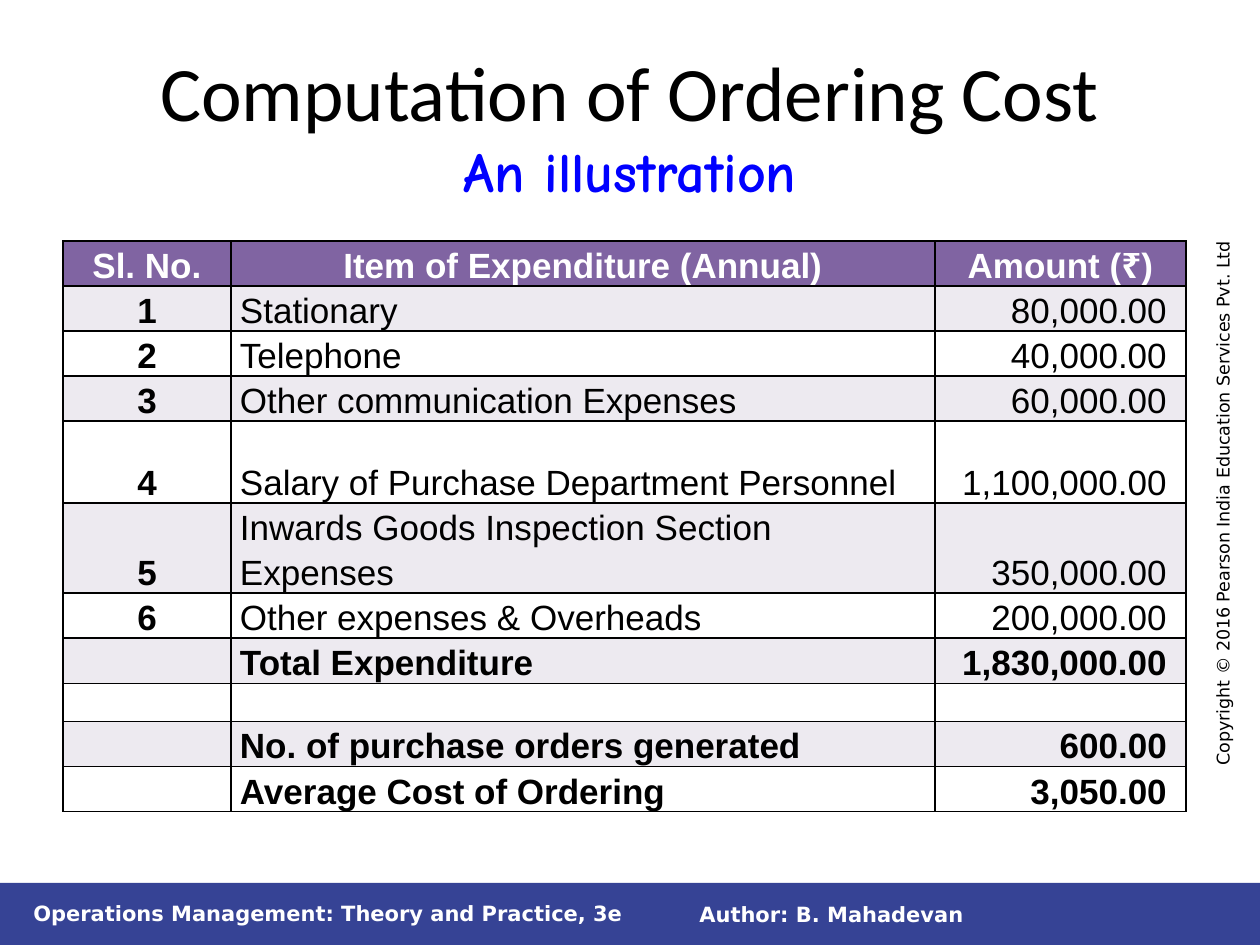
from lxml.etree import SubElement
from pptx import Presentation
from pptx.dml.color import RGBColor
from pptx.enum.shapes import MSO_SHAPE as Shape
from pptx.enum.text import MSO_ANCHOR as Anchor, PP_ALIGN as Align
from pptx.oxml.ns import qn
from pptx.util import Pt

EMU_PER_PX = 914400 / 126


def px(*lengths):
    return [round(length * EMU_PER_PX) for length in lengths]


def add_span(para, text, size, font, color, bold=False):
    span = para.add_run()
    span.text = text
    span.font.size = Pt(size)
    span.font.name = font
    span.font.bold = bold
    span.font.color.rgb = RGBColor.from_string(color)


deck = Presentation()
deck.slide_width, deck.slide_height = px(1260, 945)
page = deck.slides.add_slide(deck.slide_layouts[6])

# Footer band
band = page.shapes.add_shape(Shape.RECTANGLE, *px(0, 883, 1260, 62))
band.shadow.inherit = False
band.fill.solid()
band.fill.fore_color.rgb = RGBColor.from_string("364395")
band.line.fill.background()

# Footer and copyright lines: text, place, rotation, anchor, size, colour, bold
small_texts = [
    ("Author: B. Mahadevan", (687, 895, 573, 38), 0, Anchor.MIDDLE, 12, "FFFFFF", True),
    ("Operations Management: Theory and Practice, 3e", (21, 894, 630, 38), 0,
     Anchor.MIDDLE, 12, "FFFFFF", True),
    ("Copyright © 2016 Pearson India Education Services Pvt. Ltd", (939, 477, 568, 34), 270,
     Anchor.TOP, 10, "000000", False),
]
for text, place, rotation, anchor, size, color, bold in small_texts:
    box = page.shapes.add_textbox(*px(*place))
    box.rotation = rotation
    box.text_frame.word_wrap = True
    box.text_frame.vertical_anchor = anchor
    add_span(box.text_frame.paragraphs[0], text, size, "DejaVu Sans", color, bold)

# Title
title = page.shapes.add_textbox(*px(63, 45, 1134, 158))
title.text_frame.word_wrap = True
title.text_frame.vertical_anchor = Anchor.MIDDLE
para = title.text_frame.paragraphs[0]
para.alignment = Align.CENTER
add_span(para, "Computation of Ordering Cost", 44, "Calibri", "000000")
para.add_line_break()
add_span(para, "An illustration", 32, "Comic Neue", "0000FF", True)

# Cost table
rows = [
    ("Sl. No.", "Item of Expenditure (Annual)", "Amount (₹)"),
    ("1", "Stationary", "80,000.00"),
    ("2", "Telephone", "40,000.00"),
    ("3", "Other communication Expenses", "60,000.00"),
    ("4", "Salary of Purchase Department Personnel", "1,100,000.00"),
    ("5", "Inwards Goods Inspection Section Expenses", "350,000.00"),
    ("6", "Other expenses & Overheads", "200,000.00"),
    ("", "Total Expenditure", "1,830,000.00"),
    ("", "", ""),
    ("", "No. of purchase orders generated", "600.00"),
    ("", "Average Cost of Ordering", "3,050.00"),
]
widths = px(168, 704, 251)
heights = px(45, 45, 45, 45, 82, 90, 45, 45, 38, 45, 45)
aligns = [Align.CENTER, Align.LEFT, Align.RIGHT]
table = page.shapes.add_table(len(rows), len(widths), *px(63, 241),
                              sum(widths), sum(heights)).table
table.first_row = table.horz_banding = False
for column, width in zip(table.columns, widths):
    column.width = width

for r, (row, height) in enumerate(zip(rows, heights)):
    table.rows[r].height = height
    header = r == 0
    fill = "8064A2" if header else "EDEAF0" if r % 2 else "FFFFFF"
    for c, text in enumerate(row):
        cell = table.cell(r, c)
        align = Align.CENTER if header else aligns[c]
        cell.vertical_anchor = Anchor.BOTTOM
        cell.margin_left, cell.margin_right, cell.margin_top, cell.margin_bottom = px(
            9, 19 if align == Align.RIGHT else 9, 0, 0)

        properties = cell._tc.get_or_add_tcPr()
        for side in ("a:lnL", "a:lnR", "a:lnT", "a:lnB"):
            line = SubElement(properties, qn(side), w=str(Pt(1)))
            SubElement(SubElement(line, qn("a:solidFill")), qn("a:srgbClr"), val="000000")
        cell.fill.solid()
        cell.fill.fore_color.rgb = RGBColor.from_string(fill)

        if text:
            para = cell.text_frame.paragraphs[0]
            para.alignment = align
            para.line_spacing = Pt(25.7)
            bold = header or c == 0 or not row[0]
            add_span(para, text, 20, "Arial", "FFFFFF" if header else "000000", bold)

deck.save("out.pptx")
